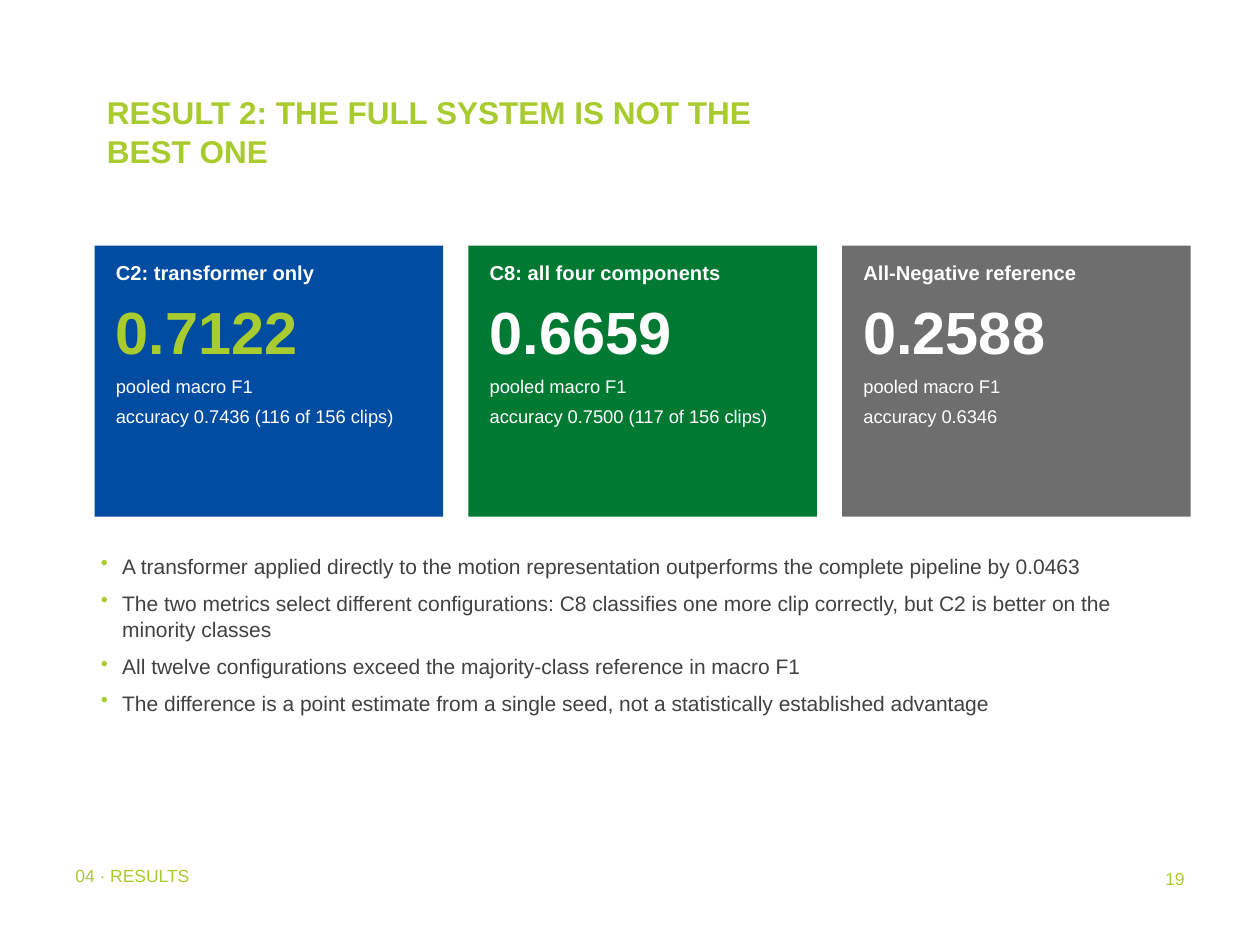
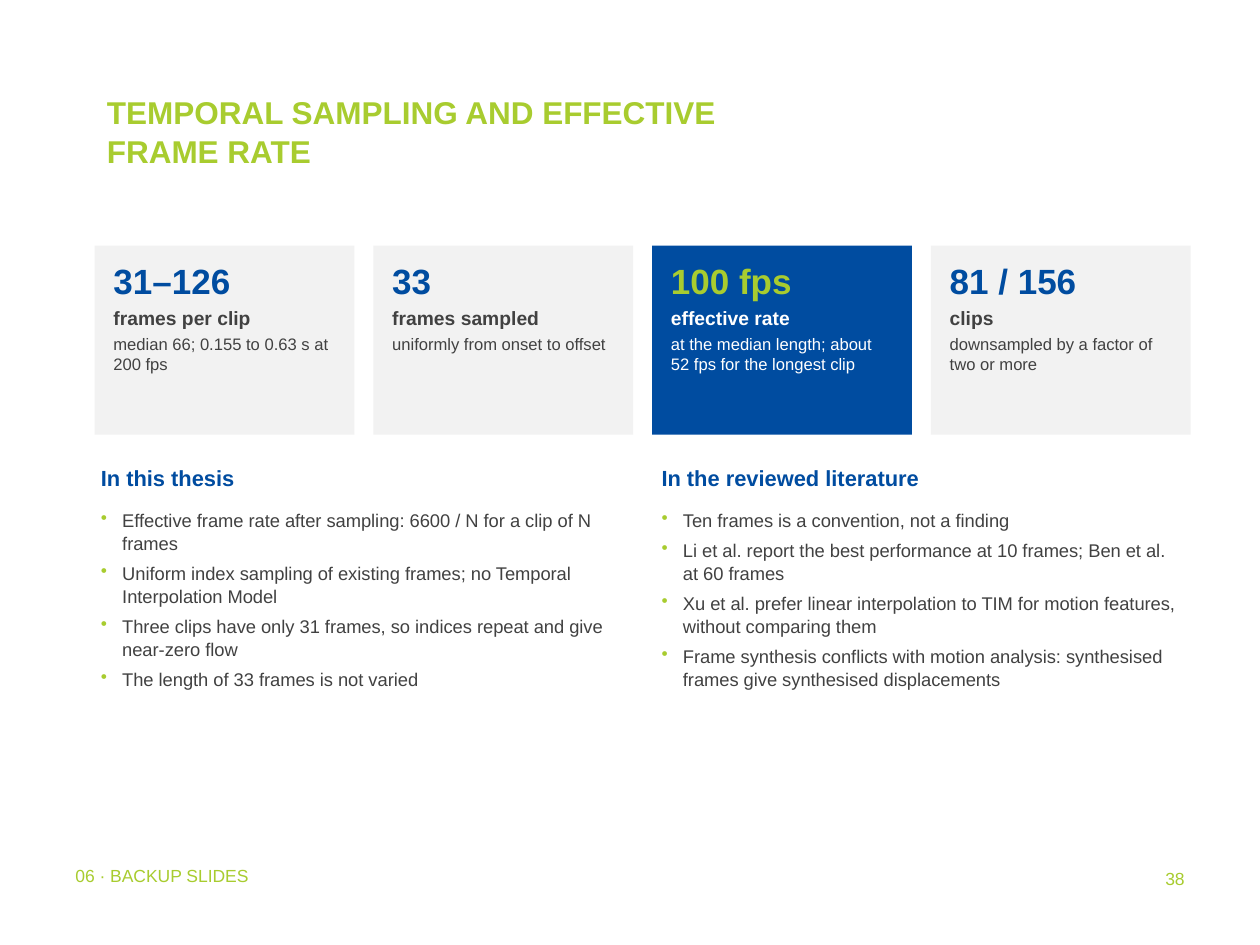
"""Build two thesis slides: a result comparison and a temporal sampling backup."""
from dataclasses import dataclass

from lxml.etree import SubElement
from pptx import Presentation
from pptx.dml.color import RGBColor as Rgb
from pptx.enum.shapes import MSO_SHAPE as Shape
from pptx.enum.text import MSO_ANCHOR as Anchor, PP_ALIGN as Align
from pptx.oxml.ns import qn
from pptx.util import Inches, Pt


@dataclass(frozen=True)
class Theme:
    font: str = "Arial"
    lime: str = "A8CC2F"
    blue: str = "004CA0"
    green: str = "007A33"
    gray: str = "6E6E6E"
    pale: str = "F2F2F2"
    ink: str = "414141"
    white: str = "FFFFFF"
    title: float = 18
    heading: float = 12.5
    body: float = 12
    small: float = 10.5
    footer: float = 10
    result_label: float = 11.5
    result_value: float = 34
    fact_value: float = 20
    fact_label: float = 11
    fact_note: float = 9.5
    line_spacing: float = 1.05


THEME = Theme()
LEFT, WIDTH, CARD_TOP = 0.75, 8.7, 1.95


@dataclass(frozen=True)
class Line:
    text: str
    size: float
    color: str
    bold: bool = False
    after: float = 0
    align: Align = Align.LEFT
    bullet: bool = False


class SlideBuilder:
    def __init__(self, deck, theme):
        self.deck = deck
        self.theme = theme
        self.page = None

    def start(self, title, section, number):
        theme = self.theme
        self.page = self.deck.slides.add_slide(self.deck.slide_layouts[6])
        self.text((LEFT, 0.67, 5.42, 1.25),
                  [Line(title, theme.title, theme.lime, bold=True)], (0.1, 0.05))
        self.text((0.5, 6.83, 5.67, 0.4),
                  [Line(section, theme.footer, theme.lime)], (0.1, 0.03))
        self.text((7.42, 6.83, 2.08, 0.5),
                  [Line(number, theme.footer, theme.lime, align=Align.RIGHT)], (0.1, 0.05))

    def text(self, area, lines, insets=(0.05, 0.03)):
        frame = self.page.shapes.add_textbox(*map(Inches, area)).text_frame
        frame.word_wrap = True
        frame.vertical_anchor = Anchor.TOP
        frame.margin_left = frame.margin_right = Inches(insets[0])
        frame.margin_top = frame.margin_bottom = Inches(insets[1])
        for index, line in enumerate(lines):
            para = frame.add_paragraph() if index else frame.paragraphs[0]
            para.text = line.text
            if line.bullet:
                self.bullet(para)
            para.alignment = line.align
            para.line_spacing = self.theme.line_spacing
            para.space_after = Pt(line.after)
            para.font.name = self.theme.font
            para.font.size = Pt(line.size)
            para.font.bold = line.bold
            para.font.color.rgb = Rgb.from_string(line.color)

    def bullet(self, para):
        properties = para._p.get_or_add_pPr()
        properties.set("marL", str(Inches(0.17)))
        properties.set("indent", str(-Inches(0.17)))
        color = SubElement(properties, qn("a:buClr"))
        SubElement(color, qn("a:srgbClr"), val=self.theme.lime)
        SubElement(properties, qn("a:buChar"), char="•")

    def bullets(self, area, items, size, after):
        self.text(area, [Line(item, size, self.theme.ink, after=after, bullet=True)
                         for item in items])

    def panel(self, area, color):
        panel = self.page.shapes.add_shape(Shape.RECTANGLE, *map(Inches, area))
        panel.shadow.inherit = False
        panel.fill.solid()
        panel.fill.fore_color.rgb = Rgb.from_string(color)
        panel.line.fill.background()

    def cards(self, cards, gap, height, padding):
        width = (WIDTH - gap * (len(cards) - 1)) / len(cards)
        pad_x, pad_y = padding
        for index, (fill, lines) in enumerate(cards):
            left = LEFT + index * (width + gap)
            self.panel((left, CARD_TOP, width, height), fill)
            self.text((left + pad_x, CARD_TOP + pad_y,
                       width - 2 * pad_x, height - 2 * pad_y), lines)

    def column(self, left, heading, items):
        theme = self.theme
        self.text((left, 3.65, 4.25, 0.32),
                  [Line(heading, theme.heading, theme.blue, bold=True, after=3)])
        self.bullets((left, 4, 4.25, 2.45), items, theme.small, after=4)


def result_card(fill, value_color, label, value, accuracy):
    return fill, [
        Line(label, THEME.result_label, THEME.white, bold=True, after=4),
        Line(value, THEME.result_value, value_color, bold=True, after=4),
        Line("pooled macro F1", THEME.small, THEME.white, after=4),
        Line(accuracy, THEME.small, THEME.white, after=3),
    ]


def fact_card(value, label, note, highlighted=False):
    fill, value_color, color = (
        (THEME.blue, THEME.lime, THEME.white) if highlighted
        else (THEME.pale, THEME.blue, THEME.ink))
    return fill, [
        Line(value, THEME.fact_value, value_color, bold=True, after=2),
        Line(label, THEME.fact_label, color, bold=True, after=2),
        Line(note, THEME.fact_note, color, after=3),
    ]


def add_results(builder):
    builder.start("RESULT 2: THE FULL SYSTEM IS NOT THE BEST ONE", "04 · RESULTS", "19")
    builder.cards([
        result_card(THEME.blue, THEME.lime, "C2: transformer only", "0.7122",
                    "accuracy 0.7436 (116 of 156 clips)"),
        result_card(THEME.green, THEME.white, "C8: all four components", "0.6659",
                    "accuracy 0.7500 (117 of 156 clips)"),
        result_card(THEME.gray, THEME.white, "All-Negative reference", "0.2588",
                    "accuracy 0.6346"),
    ], gap=0.2, height=2.15, padding=(0.12, 0.08))
    builder.bullets((LEFT, 4.35, WIDTH, 2.1), [
        "A transformer applied directly to the motion representation outperforms "
        "the complete pipeline by 0.0463",
        "The two metrics select different configurations: C8 classifies one more clip "
        "correctly, but C2 is better on the minority classes",
        "All twelve configurations exceed the majority-class reference in macro F1",
        "The difference is a point estimate from a single seed, not a statistically "
        "established advantage",
    ], THEME.body, after=6)


def add_sampling(builder):
    builder.start("TEMPORAL SAMPLING AND EFFECTIVE FRAME RATE", "06 · BACKUP SLIDES", "38")
    builder.cards([
        fact_card("31–126", "frames per clip", "median 66; 0.155 to 0.63 s at 200 fps"),
        fact_card("33", "frames sampled", "uniformly from onset to offset"),
        fact_card("100 fps", "effective rate",
                  "at the median length; about 52 fps for the longest clip", highlighted=True),
        fact_card("81 / 156", "clips", "downsampled by a factor of two or more"),
    ], gap=0.15, height=1.5, padding=(0.1, 0.06))
    builder.column(LEFT, "In this thesis", [
        "Effective frame rate after sampling: 6600 / N for a clip of N frames",
        "Uniform index sampling of existing frames; no Temporal Interpolation Model",
        "Three clips have only 31 frames, so indices repeat and give near-zero flow",
        "The length of 33 frames is not varied",
    ])
    builder.column(5.2, "In the reviewed literature", [
        "Ten frames is a convention, not a finding",
        "Li et al. report the best performance at 10 frames; Ben et al. at 60 frames",
        "Xu et al. prefer linear interpolation to TIM for motion features, "
        "without comparing them",
        "Frame synthesis conflicts with motion analysis: synthesised frames give "
        "synthesised displacements",
    ])


def main():
    deck = Presentation()
    deck.slide_width, deck.slide_height = Inches(10), Inches(7.5)
    builder = SlideBuilder(deck, THEME)
    add_results(builder)
    add_sampling(builder)
    deck.save("out.pptx")


if __name__ == "__main__":
    main()
